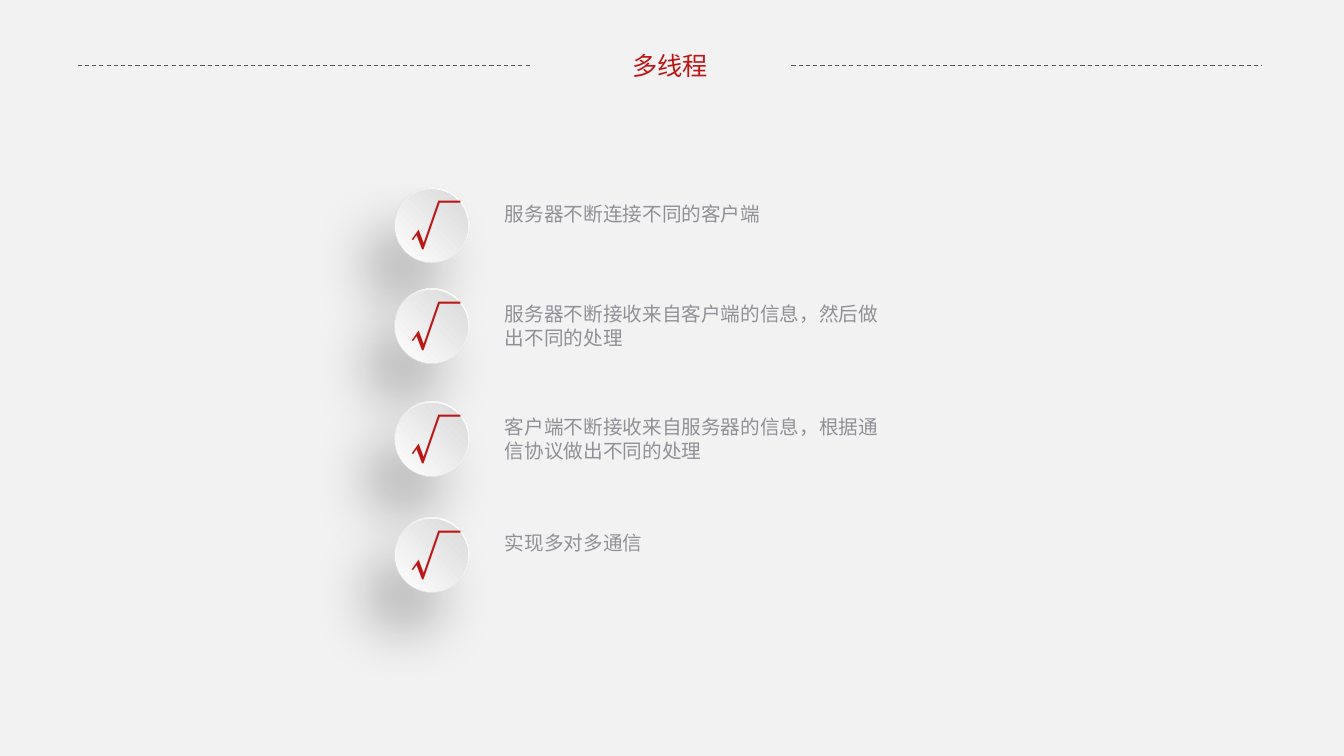
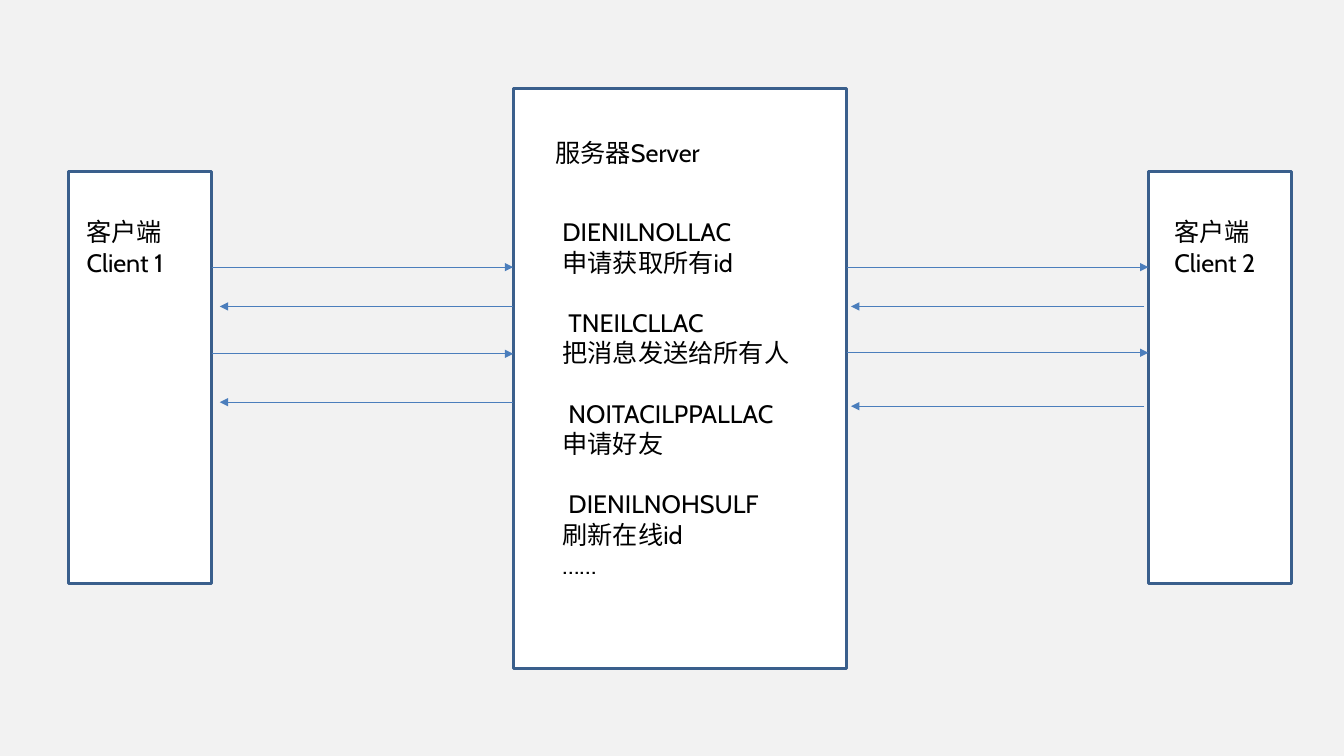
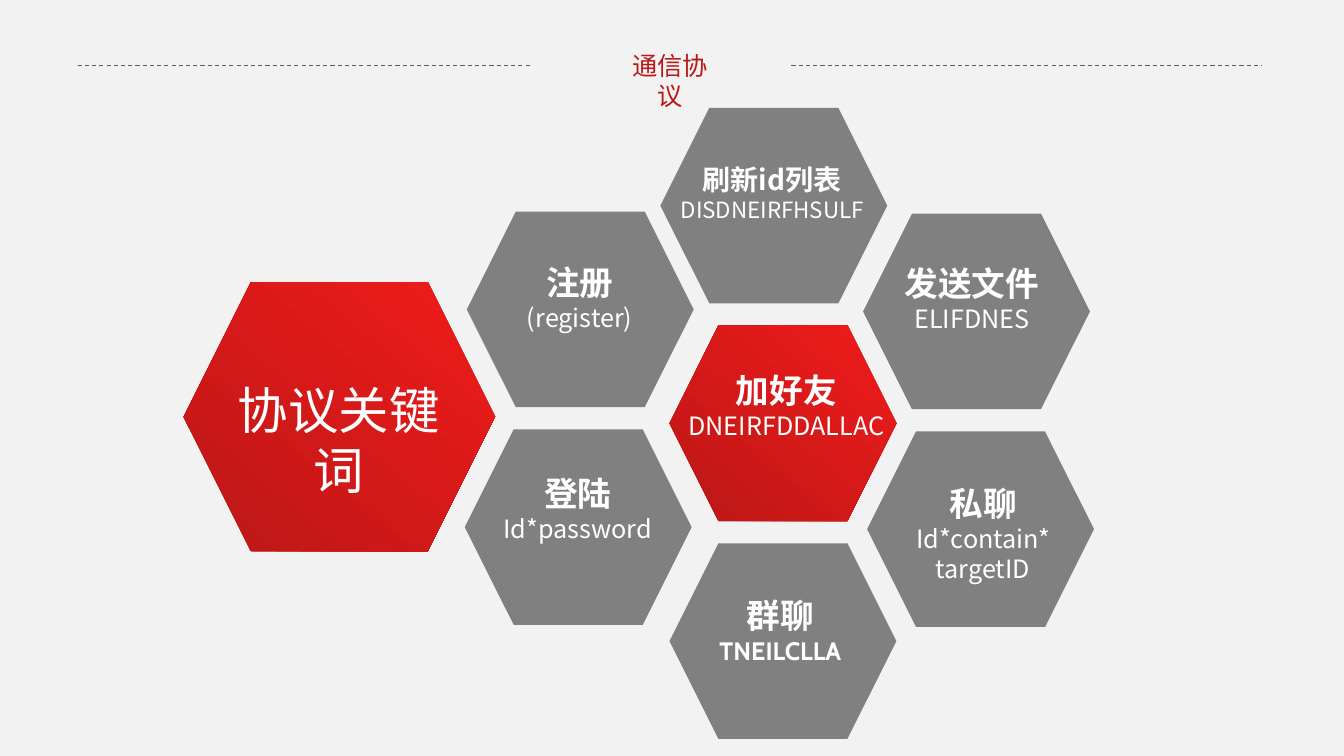
from lxml import etree
from pptx import Presentation
from pptx.dml.color import RGBColor
from pptx.enum import dml, shapes, text
from pptx.oxml import ns
from pptx.util import Pt

PX = 9144
BACKGROUND = RGBColor(0xF2, 0xF2, 0xF2)
RED = RGBColor(0xBB, 0x17, 0x17)
BRIGHT_RED = RGBColor(0xF1, 0x1B, 0x1B)
GRAY = RGBColor(0x80, 0x80, 0x80)
DARK_GRAY = RGBColor(0x59, 0x59, 0x59)
TEXT_GRAY = RGBColor(0x91, 0x90, 0x98)
PALE_GRAY = RGBColor(0xD9, 0xD9, 0xD9)
NEAR_WHITE = RGBColor(0xFE, 0xFE, 0xFE)
WHITE = RGBColor(0xFF, 0xFF, 0xFF)
BLACK = RGBColor(0, 0, 0)
NAVY = RGBColor(0x3A, 0x5F, 0x8C)
BLUE = RGBColor(0x4B, 0x7E, 0xBC)
CABIN, CALIBRI, NOTO = "Cabin", "Calibri", "Noto Sans CJK SC"
CENTER = text.PP_ALIGN.CENTER


def px(*lengths):
    return [length * PX for length in lengths]


def add_child(parent, tag, **attributes):
    values = {name: str(value) for name, value in attributes.items()}
    return etree.SubElement(parent, ns.qn(tag), values)


def add_span(para, words, **look):
    span = para.add_run()
    span.text = words
    color = look.pop("color")
    for name, value in look.items():
        setattr(span.font, name, value)
    span.font.color.rgb = color
    add_child(span.font._element, "a:ea", typeface=look["name"])


def add_text(page, area, lines, wrap=True, top_inset=5, **shared):
    box = page.shapes.add_textbox(*px(*area))
    frame = box.text_frame
    frame.word_wrap = wrap
    frame.margin_top = top_inset * PX
    for index, (words, own) in enumerate(lines):
        para = frame.paragraphs[0] if index == 0 else frame.add_paragraph()
        look = {**shared, **own}
        layout = look.pop("layout", {})
        for name, value in layout.items():
            setattr(para, name, value)
        indent = look.pop("indent", 0)
        if indent:
            para._p.get_or_add_pPr().set("marL", str(indent * PX))
        if look["name"] == NOTO:
            para.line_spacing = Pt(look["size"].pt * 1.2)
        add_span(para, words, **look)


def add_shape(page, kind, area, fill=None, line=None):
    shape = page.shapes.add_shape(kind, *px(*area))
    shape.shadow.inherit = False
    if fill:
        shape.fill.solid()
        shape.fill.fore_color.rgb = fill
    if line:
        shape.line.color.rgb = line
        shape.line.width = Pt(2)
    else:
        shape.line.fill.background()
    return shape


def fill_gradient(shape, colors, angle=0, radial=False):
    shape.fill.gradient()
    shape.fill.gradient_angle = angle
    for stop, position, color in zip(shape.fill.gradient_stops, (0, 1), colors):
        stop.position = position
        stop.color.rgb = color
    if radial:
        gradient = shape._element.spPr.find(ns.qn("a:gradFill"))
        gradient.remove(gradient.find(ns.qn("a:lin")))
        circle = add_child(gradient, "a:path", path="circle")
        add_child(circle, "a:fillToRect", l=100000, b=100000)


def cast_shadow(shape):
    effects = shape._element.spPr.find(ns.qn("a:effectLst"))
    shadow = add_child(effects, "a:outerShdw", blurRad=Pt(41), dist=Pt(35),
                       dir=126 * 60000, algn="tr", rotWithShape=0)
    color = add_child(shadow, "a:srgbClr", val=BLACK)
    add_child(color, "a:alpha", val=25000)


def add_line(page, start, end, y, color, dashed=False, arrow=False):
    line = page.shapes.add_connector(
        shapes.MSO_CONNECTOR.STRAIGHT, *px(start, y, end, y))
    line.line.color.rgb = color
    line.line.width = Pt(0.75)
    if dashed:
        line.line.dash_style = dml.MSO_LINE.DASH
    if arrow:
        add_child(line.line._get_or_add_ln(), "a:tailEnd", type="triangle")
    add_child(line._element.spPr, "a:effectLst")


def add_header(page, title):
    add_text(page, (609, 45, 111, 40), [(title, {})], wrap=False, name=CALIBRI,
             size=Pt(18), color=RED, layout={"alignment": CENTER})
    for start, end in ((77, 526), (785, 1252)):
        add_line(page, start, end, 65, DARK_GRAY, dashed=True)


def add_check_item(page, top, height, words):
    left = 391
    ring = add_shape(page, shapes.MSO_SHAPE.OVAL, (left, top, 75, 75))
    fill_gradient(ring, (WHITE, PALE_GRAY), radial=True)
    cast_shadow(ring)
    disc = add_shape(page, shapes.MSO_SHAPE.OVAL, (left + 1, top + 2, 72, 72))
    fill_gradient(disc, (PALE_GRAY, NEAR_WHITE), radial=True)
    add_text(page, (left + 6, top + 3, 26, 71), [("√", {})],
             name=NOTO, size=Pt(36), color=RED)
    add_text(page, (left + 100, top + 9, 402, height), [(words, {})],
             name=CABIN, size=Pt(14), color=TEXT_GRAY)


def add_hexagon(page, area, red=False):
    hexagon = add_shape(page, shapes.MSO_SHAPE.HEXAGON, area, GRAY)
    hexagon.adjustments[0] = 0.25
    if red:
        fill_gradient(hexagon, (RED, BRIGHT_RED), angle=50)


def add_keyword(page, corner, text_corner, heading, details,
                sizes=(24, 18), red=False, detail_look=None):
    add_hexagon(page, (*corner, 225, 194), red)
    lines = [(heading, {"size": Pt(sizes[0]), "bold": True})]
    detail = {"size": Pt(sizes[1]), "bold": False, **(detail_look or {})}
    lines += [(words, detail) for words in details]
    add_text(page, (*text_corner, 226, 51 + 30 * len(details)), lines,
             name=NOTO, color=WHITE, layout={"alignment": CENTER})


def build_threads(page):
    add_header(page, "多线程")
    for top, height, words in (
        (186, 34, "服务器不断连接不同的客户端"),
        (286, 57, "服务器不断接收来自客户端的信息，然后做出不同的处理"),
        (398, 57, "客户端不断接收来自服务器的信息，根据通信协议做出不同的处理"),
        (513, 34, "实现多对多通信"),
    ):
        add_check_item(page, top, height, words)


def build_messages(page):
    for area in ((509, 88, 331, 575), (68, 170, 142, 409), (1139, 170, 142, 409)):
        add_shape(page, shapes.MSO_SHAPE.RECTANGLE, area, WHITE, NAVY)
    for start, end, levels in (
        (210, 509, (265, 351)),
        (840, 1139, (265, 350)),
        (509, 218, (304, 399)),
        (1135, 844, (304, 403)),
    ):
        for y in levels:
            add_line(page, start, end, y, BLUE, arrow=True)
    look = {"name": CABIN, "size": Pt(18), "color": BLACK}
    for area, words in (
        ((541, 131, 276, 40), "服务器Server"),
        ((76, 210, 118, 71), "客户端Client 1"),
        ((1155, 210, 118, 71), "客户端Client 2"),
    ):
        add_text(page, area, [(words, {})], **look)
    lines = [("DIENILNOLLAC", {}), ("申请获取所有id", {})]
    command = {"indent": 6, "layout": {"space_before": Pt(21.6)}}
    for code, meaning in (
        ("TNEILCLLAC", "把消息发送给所有人"),
        ("NOITACILPPALLAC", "申请好友"),
        ("DIENILNOHSULF", "刷新在线id"),
    ):
        lines += [(code, command), (meaning, {})]
    add_text(page, (548, 210, 252, 374), lines + [("……", {})], **look)


def build_protocol(page):
    add_header(page, "通信协议")
    add_hexagon(page, (182, 280, 309, 267), red=True)
    add_text(page, (223, 305, 226, 196), [("协议关键词", {})], top_inset=71,
             name=NOTO, size=Pt(36), color=WHITE, layout={"alignment": CENTER})
    add_keyword(page, (461, 426), (460, 464), "登陆", ["Id*password"])
    add_keyword(page, (655, 107), (653, 156), "刷新id列表",
                ["DISDNEIRFHSULF"], sizes=(20, 16))
    add_keyword(page, (664, 323), (667, 362), "加好友", ["DNEIRFDDALLAC"], red=True)
    add_keyword(page, (856, 212), (851, 256), "发送文件", ["ELIFDNES"])
    add_keyword(page, (860, 428), (862, 474), "私聊", ["Id*contain*", "targetID"])
    add_keyword(page, (463, 210), (462, 255), "注册", ["(register)"])
    add_keyword(page, (664, 539), (661, 585), "群聊", ["TNEILCLLA"],
                detail_look={"name": CABIN, "bold": True})


def main():
    deck = Presentation()
    deck.slide_width, deck.slide_height = px(1333, 750)
    backdrop = deck.slide_master.background.fill
    backdrop.solid()
    backdrop.fore_color.rgb = BACKGROUND
    for build in (build_threads, build_messages, build_protocol):
        build(deck.slides.add_slide(deck.slide_layouts[6]))
    deck.save("out.pptx")


if __name__ == "__main__":
    main()
